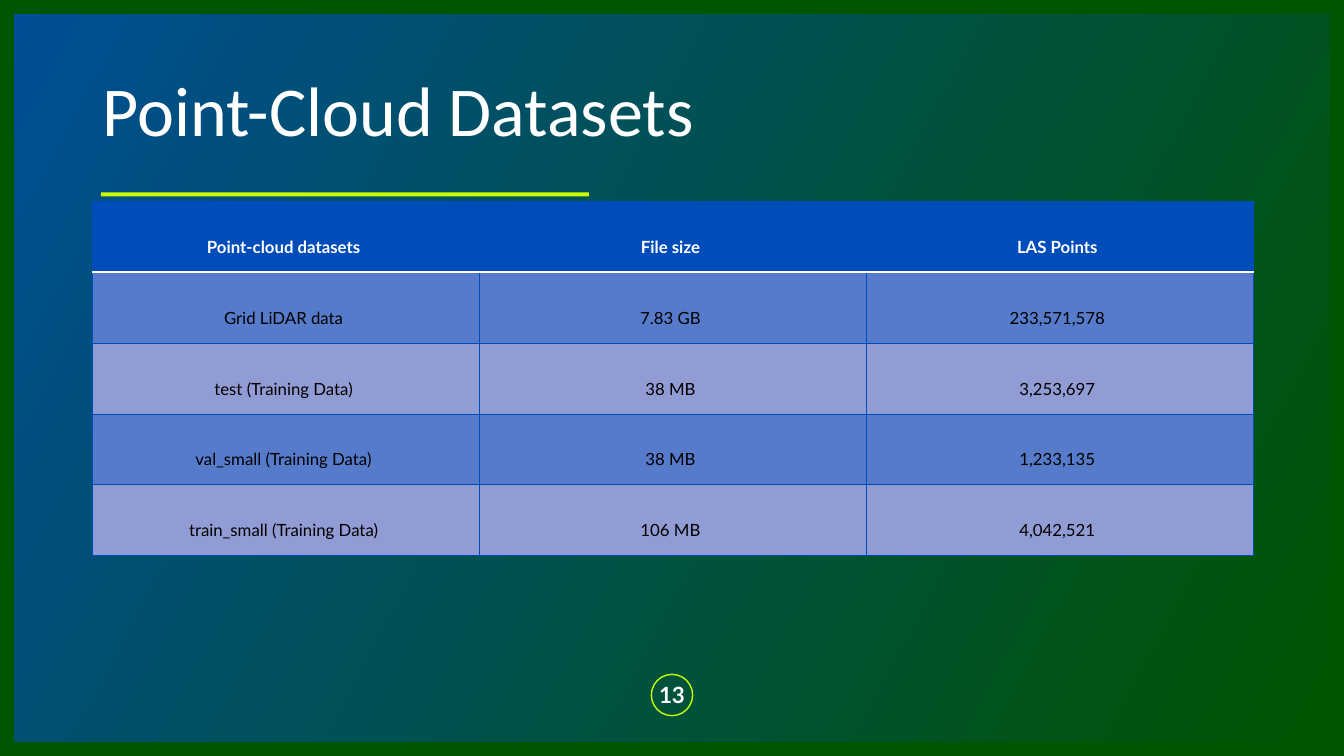
from lxml import etree
from pptx import Presentation
from pptx.dml import color
from pptx.enum import shapes, text
from pptx.oxml import ns
from pptx.util import Inches, Pt

WIDE, HIGH = 13.33, 7.5
BLUE, GREEN, LIME, WHITE, BLACK = "004CB9", "005500", "CBFF00", "FFFFFF", "000000"
BANDS = "557BCA", "919BD4"
ROWS = [
    ("Point-cloud datasets", "File size", "LAS Points"),
    ("Grid LiDAR data", "7.83 GB", "233,571,578"),
    ("test (Training Data)", "38 MB", "3,253,697"),
    ("val_small (Training Data)", "38 MB", "1,233,135"),
    ("train_small (Training Data)", "106 MB", "4,042,521"),
]


def rgb(code):
    return color.RGBColor.from_string(code)


def inch(box):
    return [Inches(v) for v in box]


def write(frame, words, size=12, font="Lato", ink=WHITE, bold=False,
          align=text.PP_ALIGN.CENTER, anchor=text.MSO_ANCHOR.MIDDLE, gap=1.0):
    frame.word_wrap = True
    frame.vertical_anchor = anchor
    para = frame.paragraphs[0]
    para.alignment = align
    para.line_spacing = gap
    run = para.add_run()
    run.text = words
    run.font.size, run.font.name, run.font.bold = Pt(size), font, bold
    run.font.color.rgb = rgb(ink)


def plain(slide, kind, box, fill=None, line=None):
    """Add a flat shape with an optional solid fill and thin outline."""
    item = slide.shapes.add_shape(kind, *inch(box))
    item.shadow.inherit = False
    if fill:
        item.fill.solid()
        item.fill.fore_color.rgb = rgb(fill)
    else:
        item.fill.background()
    if line:
        item.line.color.rgb = rgb(line)
        item.line.width = Pt(1)
    else:
        item.line.fill.background()
    return item


def edge(cell, side, ink, width):
    line = etree.SubElement(cell._tc.get_or_add_tcPr(), ns.qn("a:ln" + side), w=str(Pt(width)))
    fill = etree.SubElement(line, ns.qn("a:solidFill"))
    etree.SubElement(fill, ns.qn("a:srgbClr"), val=ink)


def backdrop(slide, rim=0.14):
    slide.background.fill.solid()
    slide.background.fill.fore_color.rgb = rgb(GREEN)
    panel = plain(slide, shapes.MSO_SHAPE.RECTANGLE,
                  (rim, rim, WIDE - 2 * rim, HIGH - 2 * rim))
    panel.fill.gradient()
    panel.fill.gradient_angle = 332
    for stop, ink, spot in zip(panel.fill.gradient_stops, ("004E94", GREEN), (0, 1)):
        stop.color.rgb = rgb(ink)
        stop.position = spot


def heading(slide, box):
    left, top, wide, high = box
    plain(slide, shapes.MSO_SHAPE.RECTANGLE,
          (left + 0.08, top + high + 0.06, 4.84, 0.04), fill=LIME)
    title = slide.shapes.add_textbox(*inch(box))
    write(title.text_frame, "Point-Cloud Datasets", size=50, font="Calibri",
          align=text.PP_ALIGN.LEFT, gap=0.9)


def badge(slide, box):
    left, top, wide, high = box
    plain(slide, shapes.MSO_SHAPE.OVAL, box, line=LIME)
    label = slide.shapes.add_textbox(*inch((left - 0.1, top, wide + 0.2, high)))
    write(label.text_frame, "13", size=16, bold=True)


def grid(slide, box):
    table = slide.shapes.add_table(len(ROWS), len(ROWS[0]), *inch(box)).table
    table.horz_banding = False
    for r, row in enumerate(ROWS):
        head = r == 0
        for c, words in enumerate(row):
            cell = table.cell(r, c)
            cell.margin_top, cell.margin_right = Inches(0.35), Inches(0.15)
            write(cell.text_frame, words, ink=WHITE if head else BLACK, bold=head)
            cell.vertical_anchor = text.MSO_ANCHOR.TOP
            for side in "LRTB":
                rule = (side, r) in (("B", 0), ("T", 1))
                edge(cell, side, WHITE if rule else BLUE, 1.5 if rule else 0.5)
            cell.fill.solid()
            cell.fill.fore_color.rgb = rgb(BLUE if head else BANDS[(r - 1) % 2])


def main():
    deck = Presentation()
    deck.slide_width, deck.slide_height = inch((WIDE, HIGH))
    slide = deck.slides.add_slide(deck.slide_layouts[6])
    backdrop(slide)
    badge(slide, (6.46, 6.69, 0.41, 0.41))
    heading(slide, (0.92, 0.4, 11.5, 1.45))
    grid(slide, (0.92, 2, 11.51, 3.51))
    deck.save("out.pptx")


if __name__ == "__main__":
    main()
